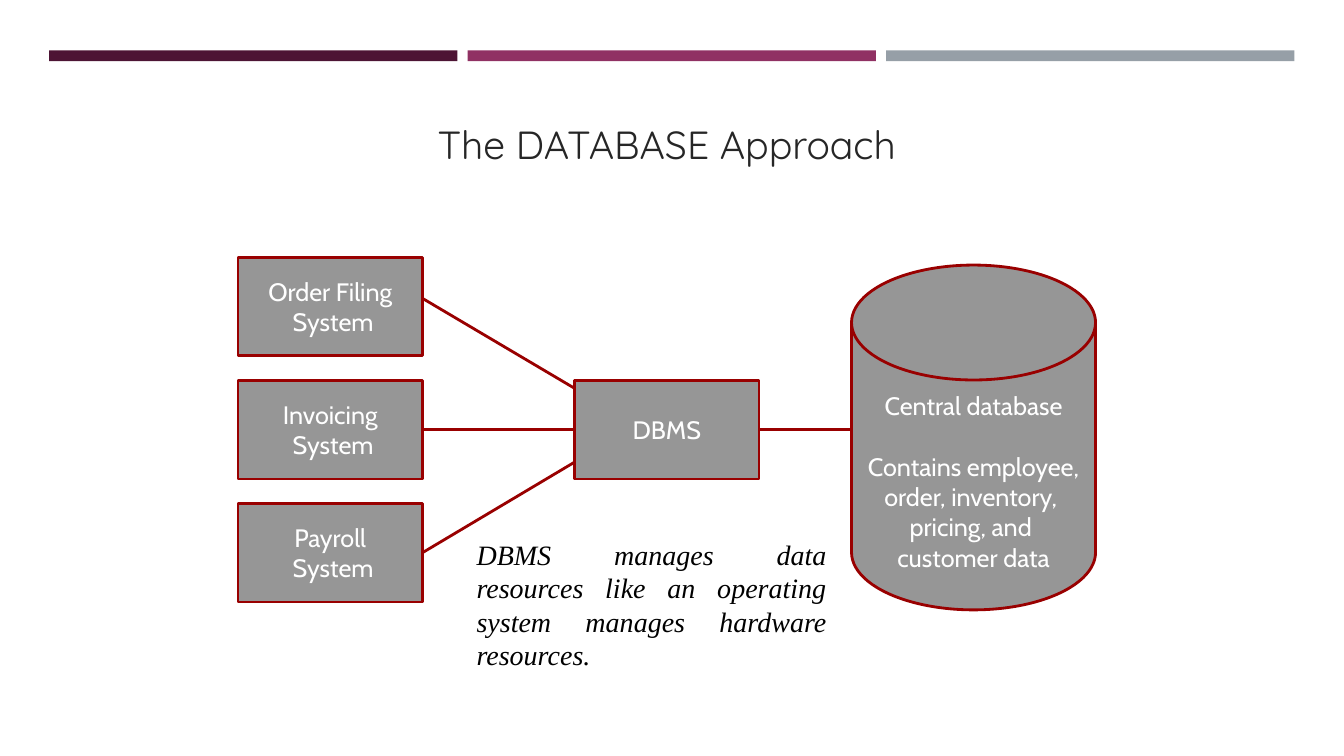
import pptx
import pptx.util
import pptx.dml.color
import pptx.enum.shapes
import pptx.enum.text
from lxml import etree

Cm = pptx.util.Cm
Pt = pptx.util.Pt
RGBColor = pptx.dml.color.RGBColor
MSO_SHAPE = pptx.enum.shapes.MSO_SHAPE
PP_ALIGN = pptx.enum.text.PP_ALIGN
MSO_ANCHOR = pptx.enum.text.MSO_ANCHOR

PLUM = RGBColor(0x4D, 0x14, 0x34)
MAGENTA = RGBColor(0x90, 0x31, 0x63)
SLATE = RGBColor(0x96, 0x9F, 0xA7)
GRAY = RGBColor(0x96, 0x96, 0x96)
DARK_RED = RGBColor(0x99, 0x00, 0x00)
CHARCOAL = RGBColor(0x26, 0x26, 0x26)
WHITE = RGBColor(0xFF, 0xFF, 0xFF)
BLACK = RGBColor(0x00, 0x00, 0x00)

LEFT, RIGHT = 1, 3
NODE_WIDTH, NODE_HEIGHT, NODE_PITCH = Cm(4.65), Cm(2.49), Cm(3.1)


def write_lines(text_frame, lines, font_name, size, color, alignment, italic=None):
    """Write one paragraph for each line."""
    for index, line in enumerate(lines):
        paragraph = text_frame.add_paragraph() if index else text_frame.paragraphs[0]
        paragraph.alignment = alignment
        run = paragraph.add_run()
        run.text = line
        run.font.name = font_name
        run.font.size = Pt(size)
        run.font.color.rgb = color
        run.font.italic = italic


def add_filled_shape(slide, kind, left, top, width, height, fill):
    shape = slide.shapes.add_shape(kind, left, top, width, height)
    shape.shadow.inherit = False
    shape.fill.solid()
    shape.fill.fore_color.rgb = fill
    shape.line.fill.background()
    return shape


def add_node(slide, kind, left, top, width, height, lines):
    """Add a gray diagram part with a red outline and white text."""
    shape = add_filled_shape(slide, kind, left, top, width, height, GRAY)
    shape.line.color.rgb = DARK_RED
    shape.line.width = Pt(2)
    shape.text_frame.word_wrap = False
    shape.text_frame.vertical_anchor = MSO_ANCHOR.MIDDLE
    write_lines(shape.text_frame, lines, "Cabin", 18, WHITE, PP_ALIGN.CENTER)
    return shape


def add_link(slide, start, end):
    connector = slide.shapes.add_connector(
        pptx.enum.shapes.MSO_CONNECTOR.STRAIGHT, *start, *end)
    connector.line.color.rgb = DARK_RED
    connector.line.width = Pt(2)
    properties = connector._element.spPr
    etree.SubElement(properties, pptx.oxml.ns.qn("a:effectLst"))
    return connector


def add_text(slide, left, top, width, height):
    text_frame = slide.shapes.add_textbox(left, top, width, height).text_frame
    text_frame.word_wrap = True
    return text_frame


def add_header_bars(slide, left, top, width, height):
    gap = Cm(0.26)
    bar_width = (width - 2 * gap) // 3
    for index, color in enumerate((PLUM, MAGENTA, SLATE)):
        add_filled_shape(slide, MSO_SHAPE.RECTANGLE, left + index * (bar_width + gap),
                         top, bar_width, height, color)


def add_title(slide, left, top, width, height):
    text_frame = add_text(slide, left, top, width, height)
    write_lines(text_frame, ["The DATABASE Approach"], "Quicksand", 28, CHARCOAL,
                PP_ALIGN.CENTER)
    text_frame.paragraphs[0].line_spacing = 1.12
    text_frame.paragraphs[0].space_before = Pt(9)


def add_diagram(slide, left, top, width):
    """Link three systems to the DBMS, and the DBMS to the database."""
    orders, invoicing, payroll = [
        add_node(slide, MSO_SHAPE.RECTANGLE, left, top + row * NODE_PITCH,
                 NODE_WIDTH, NODE_HEIGHT, [name, " System"])
        for row, name in enumerate(("Order Filing", "Invoicing", "Payroll"))]
    systems_right = left + NODE_WIDTH
    dbms_left = left + Cm(8.48)
    dbms_right = dbms_left + NODE_WIDTH
    middle = top + NODE_PITCH + NODE_HEIGHT // 2
    dbms = add_node(slide, MSO_SHAPE.RECTANGLE, dbms_left, top + NODE_PITCH,
                    NODE_WIDTH, NODE_HEIGHT, ["DBMS"])

    add_link(slide, (systems_right, top + Cm(1.04)), (dbms_left, middle - Cm(1.04)))
    invoicing_link = add_link(slide, (systems_right, middle), (dbms_left, middle))
    invoicing_link.begin_connect(invoicing, RIGHT)
    invoicing_link.end_connect(dbms, LEFT)
    payroll_link = add_link(slide, (systems_right, middle + NODE_PITCH),
                            (dbms_left, middle + Cm(0.82)))
    payroll_link.begin_connect(payroll, RIGHT)

    database_width = Cm(6.15)
    database_left = left + width - database_width
    database = add_node(
        slide, MSO_SHAPE.FLOWCHART_MAGNETIC_DISK, database_left, top + Cm(0.2),
        database_width, Cm(8.69),
        ["Central database", "Contains employee,", "order, inventory, ",
         "pricing, and ", "customer data"])
    database.text_frame.margin_top = Cm(0.89)
    database.text_frame.paragraphs[1].space_before = Pt(21.6)
    database_link = add_link(slide, (dbms_right, middle), (database_left, middle))
    database_link.begin_connect(dbms, RIGHT)


def add_note(slide, left, top, width, height):
    text_frame = add_text(slide, left, top, width, height)
    write_lines(text_frame,
                ["DBMS manages data resources like an operating system manages "
                 "hardware resources."],
                "Times New Roman", 20, BLACK, PP_ALIGN.JUSTIFY, italic=True)


def main():
    presentation = pptx.Presentation()
    presentation.slide_width = Cm(33.87)
    presentation.slide_height = Cm(19.05)
    slide = presentation.slides.add_slide(presentation.slide_layouts[6])
    add_header_bars(slide, Cm(1.24), Cm(1.27), Cm(31.38), Cm(0.27))
    add_title(slide, Cm(5.13), Cm(2.77), Cm(23.34), Cm(2.29))
    add_diagram(slide, Cm(6), Cm(6.48), Cm(21.61))
    add_note(slide, Cm(11.76), Cm(13.41), Cm(9.32), Cm(3.63))
    presentation.save("out.pptx")


if __name__ == "__main__":
    main()
